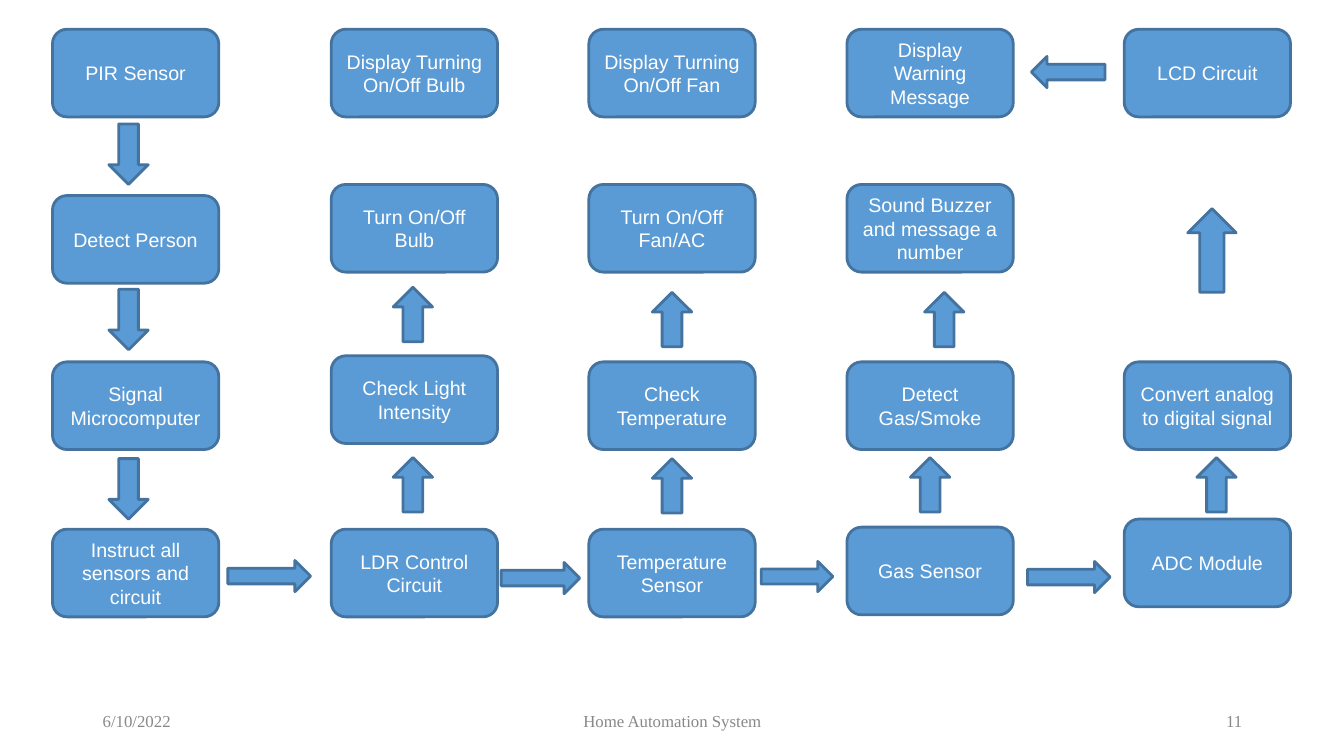
import pptx
import pptx.util
import pptx.dml.color
import pptx.enum.shapes
import pptx.enum.text

Inches, Pt = pptx.util.Inches, pptx.util.Pt
RGBColor = pptx.dml.color.RGBColor
SHAPE = pptx.enum.shapes.MSO_SHAPE
ALIGN = pptx.enum.text.PP_ALIGN
MIDDLE = pptx.enum.text.MSO_ANCHOR.MIDDLE

BLUE = RGBColor(0x5B, 0x9B, 0xD5)
DARK_BLUE = RGBColor(0x43, 0x73, 0x9E)
WHITE = RGBColor(0xFF, 0xFF, 0xFF)
GRAY = RGBColor(0x88, 0x88, 0x88)

STEP_SIZE = (1.65, 0.87)
DISPLAY_TOP = 0.29
COLUMNS = [
    (0.52, [(DISPLAY_TOP, "PIR Sensor"), (1.94, "Detect Person"),
            (3.59, "Signal Microcomputer"),
            (5.25, "Instruct all sensors and circuit")]),
    (3.285, [(DISPLAY_TOP, "Display Turning On/Off Bulb"),
             (1.83, "Turn On/Off Bulb"), (3.53, "Check Light Intensity"),
             (5.25, "LDR Control Circuit")]),
    (5.84, [(DISPLAY_TOP, "Display Turning On/Off Fan"),
            (1.83, "Turn On/Off Fan/AC"), (3.59, "Check Temperature"),
            (5.25, "Temperature Sensor")]),
    (8.4, [(DISPLAY_TOP, "Display Warning Message"),
           (1.83, "Sound Buzzer and message a number"),
           (3.59, "Detect Gas/Smoke"), (5.23, "Gas Sensor")]),
    (11.15, [(DISPLAY_TOP, "LCD Circuit"),
             (3.59, "Convert analog to digital signal"),
             (5.15, "ADC Module")]),
]

DOWN_SIZE = (0.39, 0.6)
UP_SIZE = (0.39, 0.54)
ARROWS = [
    (SHAPE.DOWN_ARROW, DOWN_SIZE, [(1.08, 1.23), (1.08, 2.87), (1.08, 4.55)]),
    (SHAPE.UP_ARROW, UP_SIZE, [(3.9, 2.85), (3.9, 4.54), (6.47, 2.9),
                               (6.47, 4.55), (9.17, 2.9), (9.03, 4.54),
                               (11.87, 4.54)]),
    (SHAPE.UP_ARROW, (0.48, 0.83), [(11.78, 2.07)]),
    (SHAPE.RIGHT_ARROW, (0.82, 0.31), [(2.26, 5.56), (10.19, 5.57)]),
    (SHAPE.RIGHT_ARROW, (0.78, 0.31), [(4.97, 5.58)]),
    (SHAPE.RIGHT_ARROW, (0.71, 0.3), [(7.55, 5.57)]),
    (SHAPE.LEFT_ARROW, (0.73, 0.31), [(10.23, 0.56)]),
]

FOOTER_TOP, FOOTER_HEIGHT = 6.95, 0.4
FOOTER = [
    (0.92, 3, "6/10/2022", ALIGN.LEFT),
    (4.42, 4.5, "Home Automation System", ALIGN.CENTER),
    (9.42, 3, "11", ALIGN.RIGHT),
]


def write(box, text, align, font_name, size, color):
    """Fill a box with one formatted, vertically centred paragraph."""
    frame = box.text_frame
    frame.word_wrap = True
    frame.vertical_anchor = MIDDLE
    frame.text = text
    paragraph = frame.paragraphs[0]
    paragraph.alignment = align
    font = paragraph.runs[0].font
    font.name, font.size, font.color.rgb = font_name, Pt(size), color


def add_block(slide, kind, position, size):
    """Add a flat blue shape with a darker outline."""
    block = slide.shapes.add_shape(kind, *map(Inches, position + size))
    block.shadow.inherit = False
    block.fill.solid()
    block.fill.fore_color.rgb = BLUE
    block.line.color.rgb = DARK_BLUE
    block.line.width = Pt(2)
    return block


def main():
    """Build the home automation flow slide."""
    deck = pptx.Presentation()
    deck.slide_width, deck.slide_height = Inches(13.33), Inches(7.5)
    slide = deck.slides.add_slide(deck.slide_layouts[6])

    for left, width, text, align in FOOTER:
        note = slide.shapes.add_textbox(
            *map(Inches, (left, FOOTER_TOP, width, FOOTER_HEIGHT)))
        write(note, text, align, "Times New Roman", 12, GRAY)

    for left, steps in COLUMNS:
        for top, label in steps:
            step = add_block(slide, SHAPE.ROUNDED_RECTANGLE, (left, top), STEP_SIZE)
            write(step, label, ALIGN.CENTER, "Arial", 14, WHITE)

    for kind, size, positions in ARROWS:
        for position in positions:
            add_block(slide, kind, position, size)

    deck.save("out.pptx")


if __name__ == "__main__":
    main()
